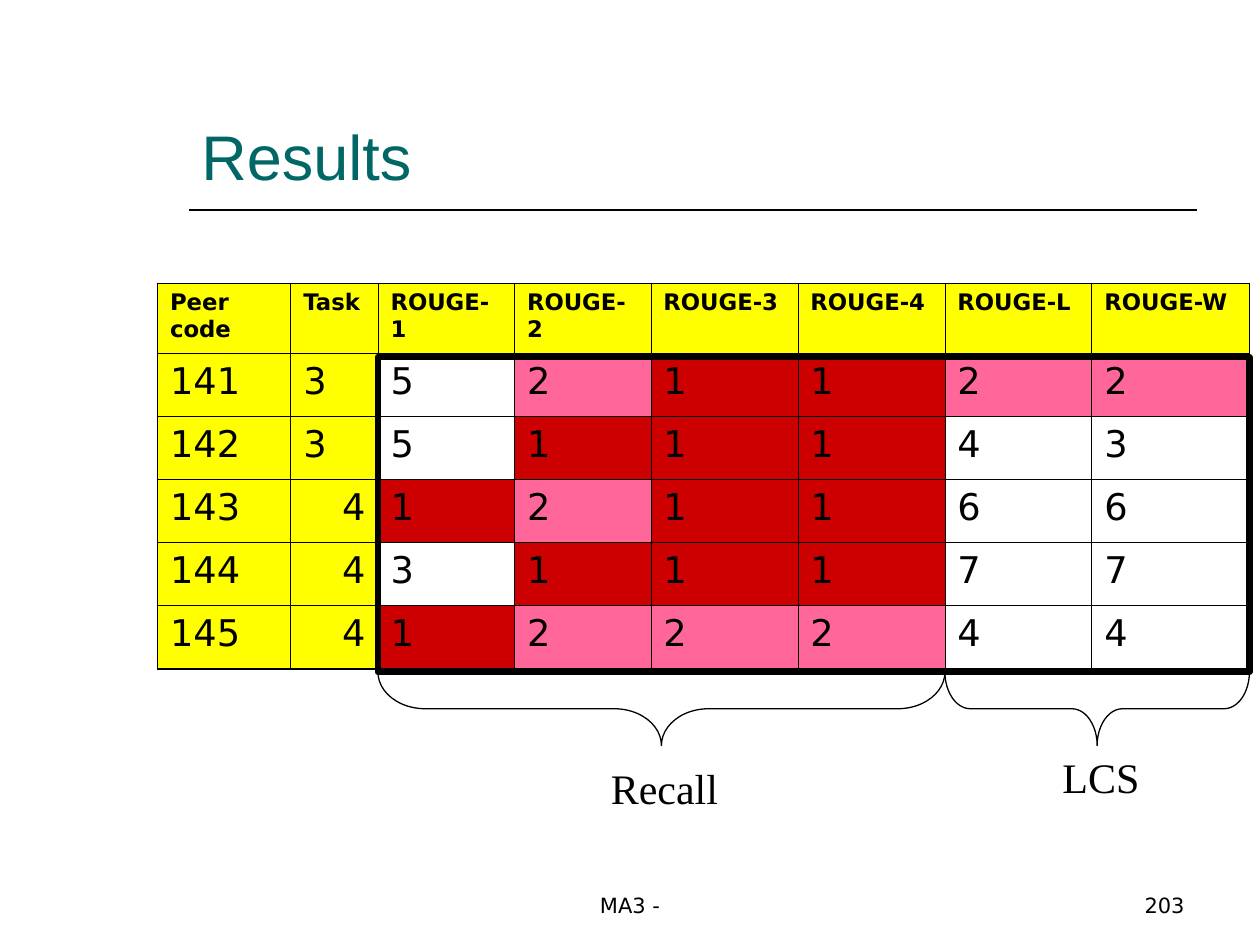
from typing import NamedTuple

from pptx import Presentation
from pptx.dml.color import RGBColor
from pptx.enum.shapes import MSO_CONNECTOR as Link, MSO_SHAPE as Shape
from pptx.enum.text import MSO_ANCHOR as Anchor, PP_ALIGN as Align
from pptx.oxml.ns import qn
from pptx.util import Pt
from lxml.etree import SubElement as Sub

PX = 7620  # 120 px to the inch
BLACK, TEAL, YELLOW = "000000", "006666", "FFFF00"
RANKS = {"1": "CC0000", "2": "FF6699"}
SANS, SERIF = "DejaVu Sans", "Times New Roman"


class Label(NamedTuple):
    text: str
    box: tuple
    size: int
    face: str
    tone: str = BLACK
    align: Align = Align.LEFT
    anchor: Anchor = Anchor.TOP
    wrap: bool = True


class Brace(NamedTuple):
    left: int
    width: int


LABELS = [
    Label("Results", (180, 40, 960, 150), 36, "Arial", TEAL, anchor=Anchor.BOTTOM),
    Label("Recall", (570, 720, 126, 60), 24, SERIF, wrap=False),
    Label("LCS", (1000, 710, 97, 60), 24, SERIF, wrap=False),
    Label("MA3 -", (410, 820, 380, 60), 12, SANS, BLACK, Align.CENTER, Anchor.BOTTOM),
    Label("203", (860, 820, 280, 60), 12, SANS, BLACK, Align.RIGHT, Anchor.BOTTOM),
]
BRACES = [Brace(360, 540), Brace(900, 290)]
BRACE_TOP, BRACE_DEEP = 640, 70

COLS = [127, 83, 130, 130, 140, 140, 140, 150]
ROWS = [67] + [60] * 5
HEAD = ["Peer code", "Task", "ROUGE-1", "ROUGE-2",
        "ROUGE-3", "ROUGE-4", "ROUGE-L", "ROUGE-W"]
BODY = ["141 3 5 2 1 1 2 2", "142 3 5 1 1 1 4 3", "143 4 1 2 1 1 6 6",
        "144 4 3 1 1 1 7 7", "145 4 1 2 2 2 4 4"]


def emu(*vals: float) -> list:
    return [round(v * PX) for v in vals]


def color(code: str) -> RGBColor:
    return RGBColor.from_string(code)


def write(frame, text: str, size: int, face: str, tone: str = BLACK,
          align: Align = Align.LEFT, bold: bool = False) -> None:
    par = frame.paragraphs[0]
    par.alignment = align
    run = par.add_run()
    run.text = text
    form = {"size": Pt(size), "name": face, "bold": bold}
    for key, val in form.items():
        setattr(run.font, key, val)
    run.font.color.rgb = color(tone)


def draw_label(shapes, item: Label) -> None:
    frame = shapes.add_textbox(*emu(*item.box)).text_frame
    frame.word_wrap = item.wrap
    frame.vertical_anchor = item.anchor
    write(frame, item.text, item.size, item.face, item.tone, item.align)


def outline(shapes, kind: Shape, box: tuple, width: float):
    shape = shapes.add_shape(kind, *emu(*box))
    shape.shadow.inherit = False
    shape.fill.background()
    shape.line.color.rgb = color(BLACK)
    shape.line.width = Pt(width)
    return shape


def draw_brace(shapes, item: Brace) -> None:
    # A tall left brace, turned so that its tip points down
    mid_x = item.left + item.width / 2
    mid_y = BRACE_TOP + BRACE_DEEP / 2
    box = (mid_x - BRACE_DEEP / 2, mid_y - item.width / 2, BRACE_DEEP, item.width)
    shape = outline(shapes, Shape.LEFT_BRACE, box, 0.75)
    shape.adjustments[0] = item.width / 12 / BRACE_DEEP
    shape.rotation = 270


def tint(cell, code: str) -> None:
    cell.fill.solid()
    cell.fill.fore_color.rgb = color(code)
    node = cell._tc.tcPr.find(".//" + qn("a:srgbClr"))
    Sub(node, qn("a:alpha"), val="50000")


def border(cell, edges: dict) -> None:
    props = cell._tc.get_or_add_tcPr()
    for side, outer in edges.items():
        width = Pt(1.08 if outer else 0.45)
        line = Sub(props, qn(f"a:ln{side}"), w=str(width))
        Sub(Sub(line, qn("a:solidFill")), qn("a:srgbClr"), val=BLACK)


def draw_table(shapes) -> None:
    data = [HEAD] + [row.split() for row in BODY]
    box = emu(150, 270, sum(COLS), sum(ROWS))
    table = shapes.add_table(len(ROWS), len(COLS), *box).table
    table.first_row = table.horz_banding = False
    for col, width in zip(table.columns, emu(*COLS)):
        col.width = width
    for row, height in zip(table.rows, emu(*ROWS)):
        row.height = height
    for r, line in enumerate(data):
        for c, text in enumerate(line):
            cell = table.cell(r, c)
            border(cell, {"L": c == 0, "R": c == len(COLS) - 1,
                          "T": r == 0, "B": r == len(ROWS) - 1})
            tone = YELLOW if r == 0 or c < 2 else RANKS.get(text)
            if tone:
                tint(cell, tone)
            else:
                cell.fill.background()
            align = Align.RIGHT if c == 1 and text == "4" else Align.LEFT
            write(cell.text_frame, text, 21 if r else 13, SANS,
                  align=align, bold=r == 0)


def draw_rule(shapes) -> None:
    rule = shapes.add_connector(Link.STRAIGHT, *emu(180, 200, 1140, 200))
    rule.line.color.rgb = color(BLACK)
    rule.line.width = Pt(1)
    Sub(rule._element.spPr, qn("a:effectLst"))


def main() -> None:
    deck = Presentation()
    deck.slide_width, deck.slide_height = emu(1200, 900)
    shapes = deck.slides.add_slide(deck.slide_layouts[6]).shapes

    # Rule under the title, then the scores
    draw_rule(shapes)
    draw_table(shapes)

    # Braces and the heavy frame round the scores
    for brace in BRACES:
        draw_brace(shapes, brace)
    outline(shapes, Shape.RECTANGLE, (360, 340, 830, 300), 3.75)

    # Title, brace names and footer
    for label in LABELS:
        draw_label(shapes, label)
    deck.save("out.pptx")


if __name__ == "__main__":
    main()
